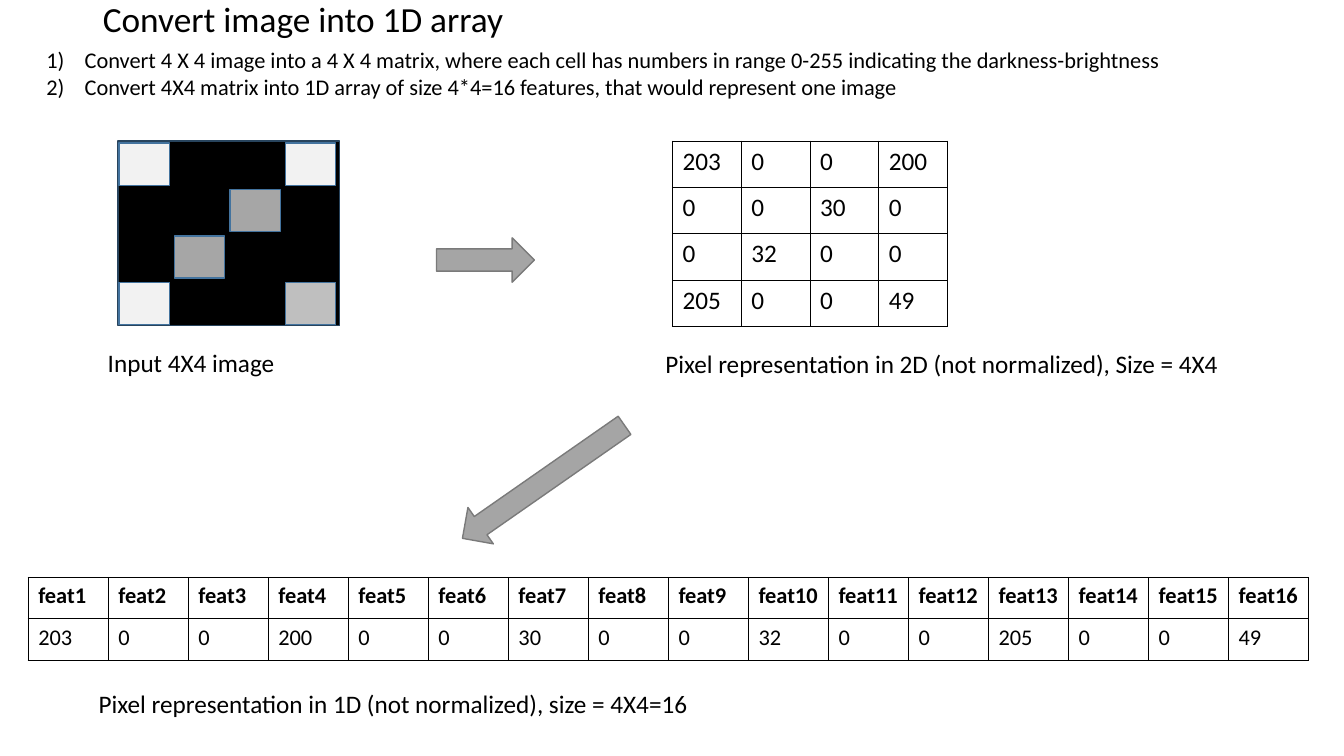
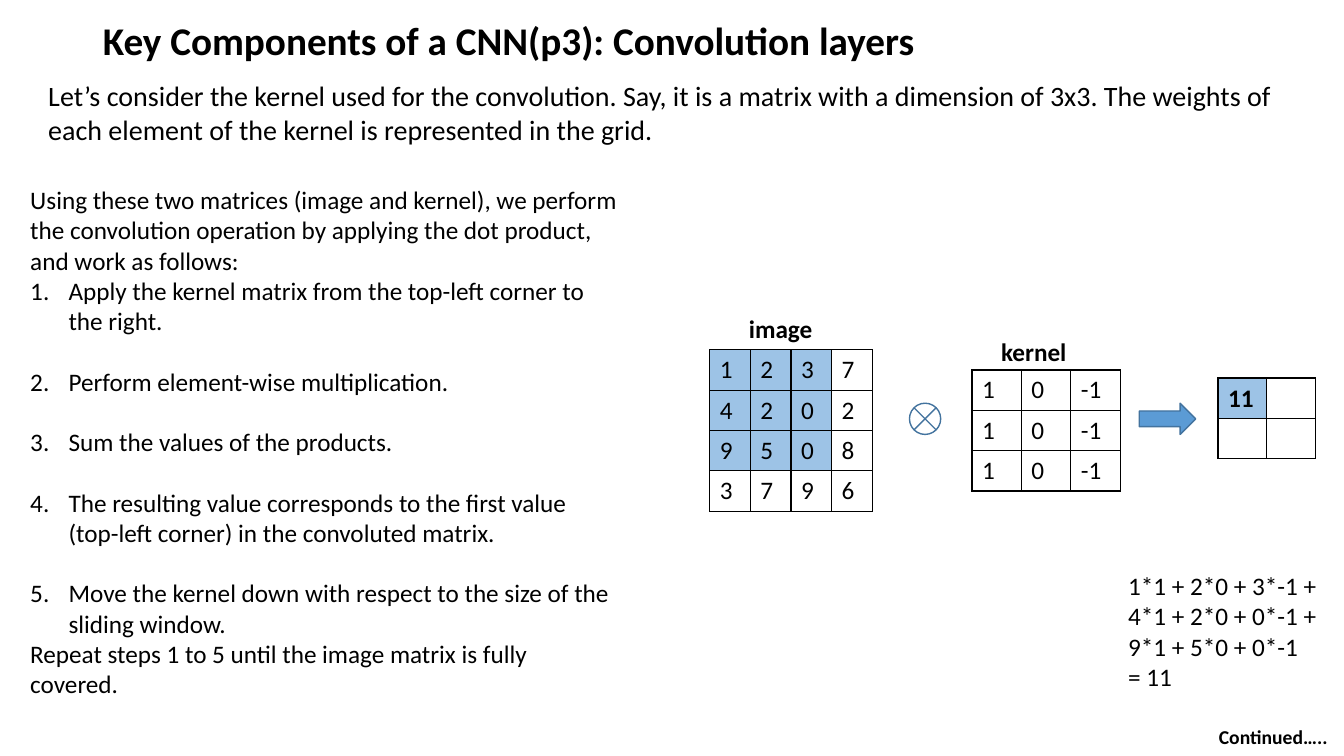
import dataclasses
import itertools

import lxml.etree
import pptx
import pptx.dml.color
import pptx.enum.shapes
import pptx.enum.text
import pptx.oxml.ns
import pptx.util

PX = 9144  # EMU per px, 100 px to the inch
KIND = pptx.enum.shapes.MSO_SHAPE
FIT = pptx.enum.text.MSO_AUTO_SIZE


@dataclasses.dataclass(frozen=True)
class Theme:
    font: str = "Calibri"
    ink: str = "000000"
    paper: str = "FFFFFF"
    tint: str = "9DC3E6"
    blue: str = "5B9BD5"
    edge: str = "43739E"
    frame: str = "28445D"
    gray: str = "A5A5A5"
    rim: str = "7A7A7A"
    pale: str = "F2F2F2"
    mid: str = "BFBFBF"
    dim: str = "A6A6A6"
    head: float = 28
    sub: float = 25.2
    lead: float = 20
    text: float = 18
    small: float = 16
    note: float = 14
    hang: int = 38


def color(code):
    return pptx.dml.color.RGBColor.from_string(code)


def emu(*sizes):
    return [size * PX for size in sizes]


def child(node, tag, **attrs):
    return lxml.etree.SubElement(node, pptx.oxml.ns.qn(tag), attrs)


class Deck:
    def __init__(self, theme):
        self.theme = theme
        self.show = pptx.Presentation()
        self.show.slide_width, self.show.slide_height = emu(1333, 750)
        self.slide = None

    def start(self, title, box, size, bold=False):
        """Add a slide and set its title."""
        self.slide = self.show.slides.add_slide(self.show.slide_layouts[1])
        frame = self.place(self.slide.shapes.title, box)
        frame.vertical_anchor = pptx.enum.text.MSO_ANCHOR.MIDDLE
        line = frame.paragraphs[0]
        line.alignment = pptx.enum.text.PP_ALIGN.LEFT
        line.line_spacing = 0.9
        self.letter(line, title, size, bold)

    def place(self, holder, box):
        holder.left, holder.top, holder.width, holder.height = emu(*box)
        frame = holder.text_frame
        frame.word_wrap = True
        frame.auto_size = FIT.NONE
        return frame

    def letter(self, line, text, size, bold=False):
        """Set the words and font of a paragraph."""
        line.text = text
        line.font.name = self.theme.font
        line.font.size = pptx.util.Pt(size)
        line.font.bold = bold
        line.font.color.rgb = color(self.theme.ink)

    def mark(self, line, style):
        """Number a paragraph, or clear its bullet if style is None."""
        props = line._p.get_or_add_pPr()
        hang = self.theme.hang * PX if style else 0
        props.set("marL", str(hang))
        props.set("indent", str(-hang))
        if style:
            child(props, "a:buFont", typeface=self.theme.font)
            child(props, "a:buAutoNum", type=style)
        else:
            child(props, "a:buNone")

    def body(self, box, items, size, style, gap=0, intro=(), close=()):
        """Fill the body with numbered items, gap points apart."""
        frame = self.place(self.slide.placeholders[1], box)
        rows = [(text, None, 0) for text in intro]
        rows += [(text, style, gap if i else 0) for i, text in enumerate(items)]
        rows += [(text, None, 0) for text in close]
        for i, (text, kind, space) in enumerate(rows):
            line = frame.add_paragraph() if i else frame.paragraphs[0]
            self.mark(line, kind)
            line.space_before = pptx.util.Pt(space)
            self.letter(line, text, size)

    def text(self, box, lines, size, bold=False, wrap=False):
        frame = self.slide.shapes.add_textbox(*emu(*box)).text_frame
        frame.word_wrap = wrap
        frame.auto_size = FIT.SHAPE_TO_FIT_TEXT
        for i, words in enumerate(lines):
            line = frame.add_paragraph() if i else frame.paragraphs[0]
            self.letter(line, words, size, bold)

    def shape(self, kind, box, fill, edge, turn=0):
        shape = self.slide.shapes.add_shape(kind, *emu(*box))
        shape.shadow.inherit = False
        shape.fill.solid()
        shape.fill.fore_color.rgb = color(fill)
        shape.line.color.rgb = color(edge)
        shape.line.width = pptx.util.Pt(1)
        shape.rotation = turn

    def rule(self, cell):
        """Draw the four borders of a cell."""
        props = cell._tc.get_or_add_tcPr()
        for i, side in enumerate("LRTB"):
            line = child(props, f"a:ln{side}", w=str(pptx.util.Pt(1)))
            child(child(line, "a:solidFill"), "a:srgbClr", val=self.theme.ink)
            props.insert(i, line)

    def table(self, x, y, width, step, rows, size, bold=0, hot=0):
        """Draw a grid: first bold rows in bold, first hot rows and columns tinted."""
        box = emu(x, y, width, step * len(rows))
        grid = self.slide.shapes.add_table(len(rows), len(rows[0]), *box).table
        grid.first_row = grid.horz_banding = False
        for col in grid.columns:
            col.width = width * PX // len(rows[0])
        for r, row in enumerate(rows):
            grid.rows[r].height = step * PX
            for c, value in enumerate(row):
                cell = grid.cell(r, c)
                cell.fill.solid()
                tinted = r < hot and c < hot
                cell.fill.fore_color.rgb = color(self.theme.tint if tinted else self.theme.paper)
                self.rule(cell)
                self.letter(cell.text_frame.paragraphs[0], str(value), size, r < bold)


def flatten(deck):
    look = deck.theme
    deck.start("Convert image into 1D array", (92, -1, 1150, 44), look.sub)
    deck.body((36, 41, 1266, 64), [
        "Convert 4 X 4 image into a 4 X 4 matrix, where each cell has numbers "
        "in range 0-255 indicating the darkness-brightness",
        "Convert 4X4 matrix into 1D array of size 4*4=16 features, that would represent one image",
    ], look.small, "arabicParenR")

    pixels = [[203, 0, 0, 200], [0, 0, 30, 0], [0, 32, 0, 0], [205, 0, 0, 49]]
    shades = {203: look.pale, 200: look.pale, 205: look.pale,
              30: look.dim, 32: look.dim, 49: look.mid}
    deck.shape(KIND.RECTANGLE, (117, 140, 220, 183), look.ink, look.frame)
    for r, c in itertools.product(range(4), repeat=2):
        if pixels[r][c]:
            box = (118 + 55 * c, 142 + 46 * r, 50, 42)
            deck.shape(KIND.RECTANGLE, box, shades[pixels[r][c]], look.edge)
    deck.table(667, 140, 273, 46, pixels, look.text)

    flat = list(itertools.chain.from_iterable(pixels))
    names = [f"feat{i}" for i in range(1, len(flat) + 1)]
    deck.table(28, 573, 1270, 41, [names, flat], look.small, bold=1)

    for box, turn in (((433, 236, 97, 44), 0), ((441, 456, 196, 44), 145.1)):
        deck.shape(KIND.RIGHT_ARROW, box, look.gray, look.rim, turn)
    for box, label in (
        ((97, 340, 188, 40), "Input 4X4 image"),
        ((650, 341, 575, 40), "Pixel representation in 2D (not normalized), Size = 4X4"),
        ((88, 678, 612, 40), "Pixel representation in 1D (not normalized), size = 4X4=16"),
    ):
        deck.text(box, [label], look.text)


def convolve(deck):
    look = deck.theme
    deck.start("Key Components of a CNN(p3): Convolution layers", (92, 15, 1150, 54),
               look.head, bold=True)
    deck.text((38, 73, 1238, 77), [
        "Let’s consider the kernel used for the convolution. Say, it is a matrix with a "
        "dimension of 3x3. The weights of each element of the kernel is represented in the grid.",
    ], look.lead, wrap=True)
    deck.body((20, 178, 605, 555), [
        "Apply the kernel matrix from the top-left corner to the right.",
        "Perform element-wise multiplication.",
        "Sum the values of the products.",
        "The resulting value corresponds to the first value (top-left corner) "
        "in the convoluted matrix.",
        "Move the kernel down with respect to the size of the sliding window.",
    ], look.text, "arabicPeriod", gap=21.6, intro=[
        "Using these two matrices (image and kernel), we perform the convolution operation "
        "by applying the dot product, and work as follows:",
    ], close=["Repeat steps 1 to 5 until the image matrix is fully covered."])

    image = [[1, 2, 3, 7], [4, 2, 0, 2], [9, 5, 0, 8], [3, 7, 9, 6]]
    deck.table(704, 347, 161, 40, image, look.text, hot=3)
    deck.table(964, 367, 147, 40, [[1, 0, -1]] * 3, look.text)
    deck.table(1208, 375, 97, 40, [[11, ""], ["", ""]], look.text, bold=1, hot=1)
    deck.shape(KIND.FLOWCHART_SUMMING_JUNCTION, (902, 400, 31, 31), look.paper, look.edge)
    deck.shape(KIND.RIGHT_ARROW, (1130, 400, 56, 31), look.blue, look.edge)

    deck.text((733, 306, 84, 40), ["image"], look.text, bold=True)
    deck.text((983, 329, 85, 40), ["kernel"], look.text, bold=True)
    deck.text((1109, 561, 209, 131), [
        "1*1 + 2*0 + 3*-1 +",
        "4*1 + 2*0 + 0*-1 +",
        "9*1 + 5*0 + 0*-1",
        "= 11",
    ], look.text)
    deck.text((1199, 714, 129, 34), ["Continued….."], look.note, bold=True)


def main():
    deck = Deck(Theme())
    flatten(deck)
    convolve(deck)
    deck.show.save("out.pptx")


if __name__ == "__main__":
    main()
